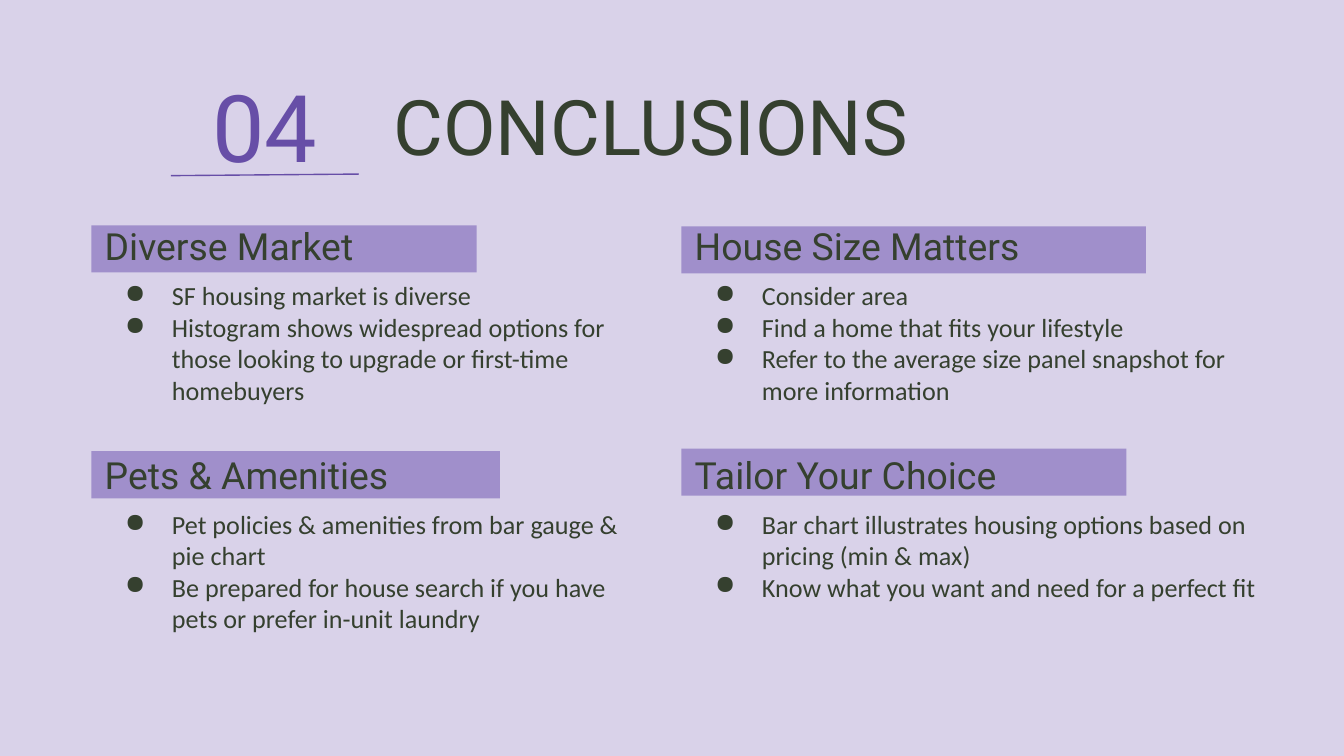
from dataclasses import dataclass

from lxml.etree import SubElement
from pptx import Presentation
from pptx.dml.color import RGBColor as Rgb
from pptx.enum.shapes import MSO_CONNECTOR as Conn, MSO_SHAPE as Shape
from pptx.enum.text import MSO_ANCHOR as Anchor, PP_ALIGN as Align
from pptx.oxml.ns import qn
from pptx.slide import Slide
from pptx.util import Cm, Pt


@dataclass(frozen=True)
class Theme:
    back: Rgb = Rgb(0xD9, 0xD2, 0xE9)
    bar: Rgb = Rgb(0xA0, 0x8F, 0xCB)
    ink: Rgb = Rgb(0x35, 0x40, 0x2F)
    accent: Rgb = Rgb(0x67, 0x4E, 0xA7)
    head: str = "Roboto"
    body: str = "Calibri"
    number: int = 50
    title: int = 41
    topic: int = 20
    text: int = 14


@dataclass(frozen=True)
class Box:
    left: float
    top: float
    width: float
    height: float

    def place(self) -> tuple[Cm, Cm, Cm, Cm]:
        return Cm(self.left), Cm(self.top), Cm(self.width), Cm(self.height)


@dataclass(frozen=True)
class Topic:
    col: int
    row: int
    name: str
    bar_top: float
    bar_width: float
    points: tuple[str, ...]


THEME = Theme()
LEFTS = (1.73, 12.88)
WIDTHS = (10.44, 11.23)
TOPS = (4.06, 8.38)
HEAD_H, BODY_GAP, BODY_H, BAR_H = 1.17, 0.98, 2.31, 0.89

TOPICS = (
    Topic(0, 0, "Diverse Market", 4.26, 7.28, (
        "SF housing market is diverse",
        "Histogram shows widespread options for those looking to upgrade "
        "or first-time homebuyers")),
    Topic(1, 0, "House Size Matters", 4.28, 8.78, (
        "Consider area",
        "Find a home that fits your lifestyle",
        "Refer to the average size panel snapshot for more information")),
    Topic(0, 1, "Pets & Amenities", 8.53, 7.72, (
        "Pet policies & amenities from bar gauge & pie chart",
        "Be prepared for house search if you have pets or prefer "
        "in-unit laundry")),
    Topic(1, 1, "Tailor Your Choice", 8.48, 8.41, (
        "Bar chart illustrates housing options based on pricing (min & max)",
        "Know what you want and need for a perfect fit")),
)


def add_bullet(para) -> None:
    props = para._p.get_or_add_pPr()
    props.set("marL", str(Cm(1.27)))
    props.set("indent", str(Cm(-0.89)))
    color = SubElement(props, qn("a:buClr"))
    SubElement(color, qn("a:srgbClr"), val=str(THEME.ink))
    SubElement(props, qn("a:buChar"), char="●")


def add_text(slide: Slide, box: Box, lines: tuple[str, ...], size: int,
             font: str = THEME.head, color: Rgb = THEME.ink,
             align: Align = Align.LEFT, anchor: Anchor = Anchor.MIDDLE,
             bullets: bool = False) -> None:
    frame = slide.shapes.add_textbox(*box.place()).text_frame
    frame.word_wrap = True
    frame.vertical_anchor = anchor
    frame.margin_left = frame.margin_right = Cm(0.25)
    frame.margin_top = frame.margin_bottom = Cm(0.25)
    frame.text = "\n".join(lines)
    for para in frame.paragraphs:
        if bullets:
            add_bullet(para)
        para.alignment = align
        para.font.name = font
        para.font.size = Pt(size)
        para.font.color.rgb = color


def add_bar(slide: Slide, box: Box) -> None:
    bar = slide.shapes.add_shape(Shape.RECTANGLE, *box.place())
    bar.shadow.inherit = False
    bar.fill.solid()
    bar.fill.fore_color.rgb = THEME.bar
    bar.line.fill.background()


def add_topic(slide: Slide, topic: Topic) -> None:
    left, width = LEFTS[topic.col], WIDTHS[topic.col]
    top = TOPS[topic.row]
    add_bar(slide, Box(left, topic.bar_top, topic.bar_width, BAR_H))
    add_text(slide, Box(left, top, width, HEAD_H), (topic.name,), THEME.topic)
    add_text(slide, Box(left, top + BODY_GAP, width, BODY_H), topic.points,
             THEME.text, THEME.body, anchor=Anchor.TOP, bullets=True)


def add_rule(slide: Slide) -> None:
    rule = slide.shapes.add_connector(
        Conn.STRAIGHT, Cm(3.23), Cm(3.32), Cm(6.78), Cm(3.29))
    rule.line.color.rgb = THEME.accent
    rule.line.width = Pt(0.75)
    SubElement(rule._element.spPr, qn("a:effectLst"))


def main() -> None:
    deck = Presentation()
    deck.slide_width, deck.slide_height = Cm(25.4), Cm(14.29)
    slide = deck.slides.add_slide(deck.slide_layouts[6])
    slide.background.fill.solid()
    slide.background.fill.fore_color.rgb = THEME.back

    # Four topics in a two by two grid
    for topic in TOPICS:
        add_topic(slide, topic)

    # Section number, rule and title
    add_rule(slide)
    add_text(slide, Box(2.82, 1.07, 4.37, 2.59), ("04",), THEME.number,
             color=THEME.accent, align=Align.CENTER)
    add_text(slide, Box(7.19, 1.52, 14.86, 1.68), ("CONCLUSIONS",),
             THEME.title)

    deck.save("out.pptx")


if __name__ == "__main__":
    main()
